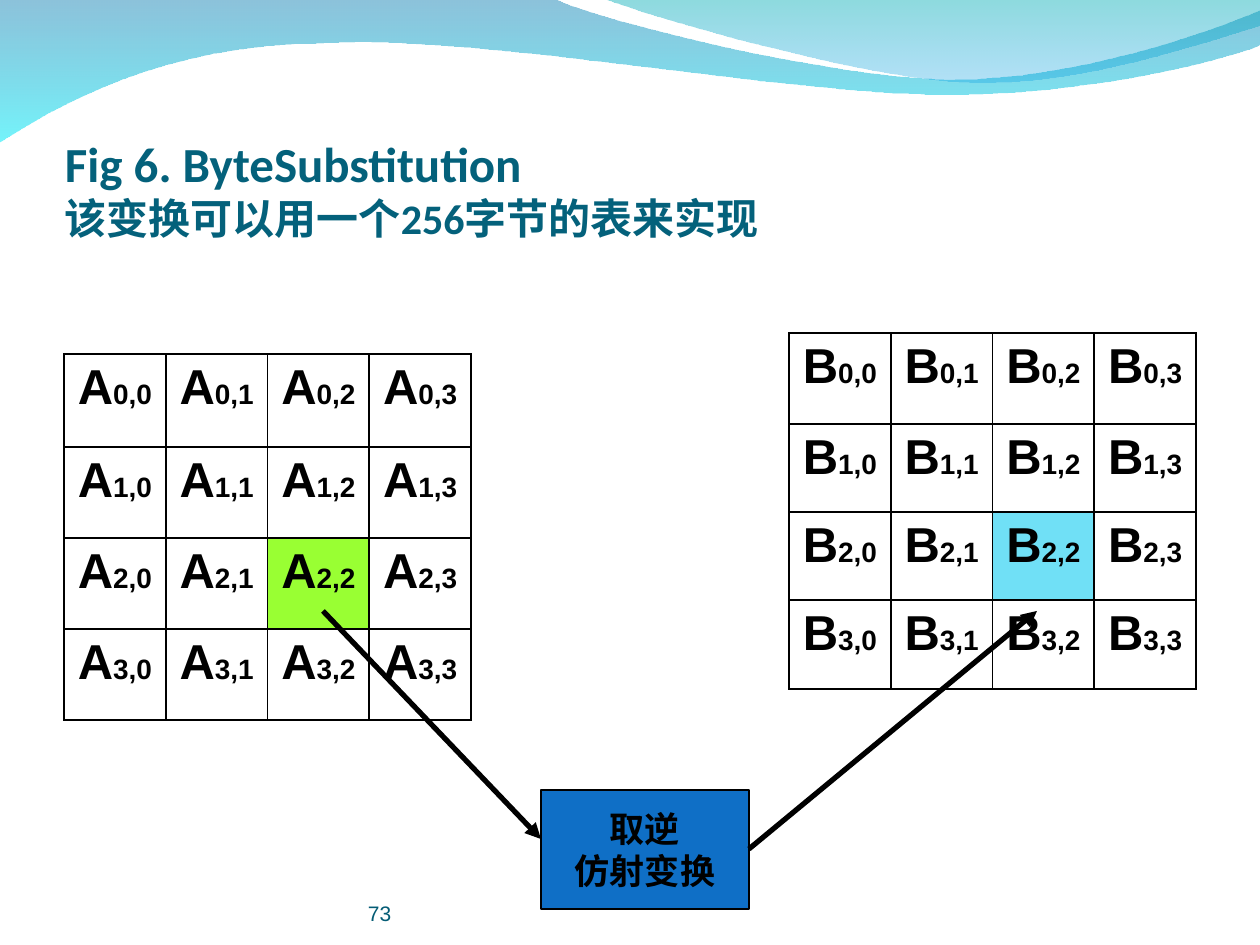
"""Build the ByteSubstitution slide: two state matrices linked by a transform box."""
import pptx
import pptx.dml.color
import pptx.enum.shapes
import pptx.enum.text
import pptx.oxml
import pptx.oxml.ns
import pptx.util

RGB = pptx.dml.color.RGBColor
ALIGN = pptx.enum.text.PP_ALIGN
ANCHOR = pptx.enum.text.MSO_ANCHOR
NS = pptx.oxml.ns.nsdecls("a")
PX = 914400 / 126

BLACK = RGB(0, 0, 0)
TITLE_TEAL = RGB(0x04, 0x61, 0x7B)
NUMBER_TEAL = RGB(0x04, 0x5C, 0x75)
BOX_BLUE = RGB(0x0F, 0x6F, 0xC6)
GREEN = RGB(0x99, 0xFF, 0x33)
CYAN = RGB(0x70, 0xE0, 0xF6)

TITLE = [("Fig 6. ByteSubstitution", 28), ("该变换可以用一个256字节的表来实现", 24)]
TRANSFORM = ["取逆", "仿射变换"]
PAGE_NUMBER = "73"
GRID = 4
MATRIX_WIDTH = 407
MARKED_CELL = (2, 2)
MATRIX_B = {"letter": "B", "at": (789, 333), "rows": (91, 88, 88, 89), "mark": CYAN}
MATRIX_A = {"letter": "A", "at": (64, 354), "rows": (93, 91, 91, 91), "mark": GREEN}
ARROW_IN = ((323, 611), (541, 839))
ARROW_OUT = ((749, 849), (1037, 611))
WAVES = [
    {"start": (0, -1),
     "parts": [[(554, -1)],
               [(600, 21), (837, 79), (955, 79)],
               [(1075, 79), (1207, 33), (1260, 11)],
               [(1261, 45)],
               [(1239, 55), (1096, 96), (940, 94)],
               [(784, 94), (481, 35), (324, 43)],
               [(163, 44), (58, 105), (-1, 142)]],
     "stops": [(RGB(0x00, 0x79, 0xAF), 45), (RGB(0x00, 0xEB, 0xF8), 55)]},
    {"start": (604, -1),
     "parts": [[(641, 14), (859, 78), (969, 82)],
               [(1079, 87), (1211, 40), (1260, 26)],
               [(1260, 0)]],
     "stops": [(RGB(0x00, 0xAD, 0xB6), 45), (RGB(0x00, 0x9B, 0xE5), 30)]},
]


def px(*values):
    return [round(v * PX) for v in values]


def add_run(p, text, size, color, font="Arial", bold=True):
    r = p.add_run()
    r.text = text
    r.font.size = pptx.util.Pt(size)
    r.font.name = font
    r.font.bold = bold
    r.font.color.rgb = color


def set_frame(tf, anchor, margins):
    tf.auto_size = pptx.enum.text.MSO_AUTO_SIZE.NONE
    tf.vertical_anchor = anchor
    tf.margin_left, tf.margin_top, tf.margin_right, tf.margin_bottom = px(*margins)


def bend_segments(sp, parts):
    segments = iter(list(sp.element.iter(pptx.oxml.ns.qn("a:lnTo"))))
    for part in parts:
        group = [next(segments) for point in part]
        if len(group) == 3:
            curve = pptx.oxml.parse_xml(f"<a:cubicBezTo {NS}/>")
            group[0].addprevious(curve)
            for segment in group:
                curve.append(segment[0])
                segment.getparent().remove(segment)


def add_wave(s, wave):
    builder = s.shapes.build_freeform(*px(*wave["start"]), scale=1.0)
    builder.add_line_segments([px(*point) for part in wave["parts"] for point in part])
    sp = builder.convert_to_shape()
    bend_segments(sp, wave["parts"])
    sp.shadow.inherit = False
    sp.line.fill.background()
    sp.fill.gradient()
    sp.fill.gradient_angle = 270
    for stop, (color, opacity) in zip(sp.fill.gradient_stops, wave["stops"]):
        stop.color.rgb = color
    nodes = sp.element.spPr.iter(pptx.oxml.ns.qn("a:srgbClr"))
    for node, (color, opacity) in zip(nodes, wave["stops"]):
        node.append(pptx.oxml.parse_xml(f'<a:alpha {NS} val="{opacity * 1000}"/>'))


def add_matrix(s, matrix):
    heights = matrix["rows"]
    frame = s.shapes.add_table(GRID, GRID, *px(*matrix["at"], MATRIX_WIDTH, sum(heights)))
    table = frame.table
    table.first_row = table.horz_banding = False
    for i, height in enumerate(heights):
        table.rows[i].height = round(height * PX)
        for j in range(GRID):
            cell = table.cell(i, j)
            p = cell.text_frame.paragraphs[0]
            p.alignment = ALIGN.CENTER
            add_run(p, matrix["letter"], 28, BLACK)
            add_run(p, f"{i},{j}", 16, BLACK)
            for side in "LRTB":
                cell._tc.get_or_add_tcPr().append(pptx.oxml.parse_xml(
                    f'<a:ln{side} {NS} w="13716"><a:solidFill>'
                    f'<a:srgbClr val="{BLACK}"/></a:solidFill></a:ln{side}>'))
            if (i, j) == MARKED_CELL:
                cell.fill.solid()
                cell.fill.fore_color.rgb = matrix["mark"]
            else:
                cell.fill.background()


def add_arrow(s, start, end):
    arrow = s.shapes.add_connector(pptx.enum.shapes.MSO_CONNECTOR.STRAIGHT, *px(*start, *end))
    arrow.line.color.rgb = BLACK
    arrow.line.width = pptx.util.Pt(3)
    arrow.line._get_or_add_ln().append(pptx.oxml.parse_xml(f'<a:tailEnd {NS} type="triangle"/>'))
    arrow.element.spPr.append(pptx.oxml.parse_xml(f"<a:effectLst {NS}/>"))


def add_title(s):
    title = s.shapes.title
    title.left, title.top, title.width, title.height = px(65, 86, 1134, 157)
    set_frame(title.text_frame, ANCHOR.BOTTOM, (0, 6, 0, 0))
    p = title.text_frame.paragraphs[0]
    p.alignment = ALIGN.LEFT
    for i, (text, size) in enumerate(TITLE):
        if i:
            p.add_line_break()
        add_run(p, text, size, TITLE_TEAL, "Calibri")


def add_page_number(s):
    tf = s.shapes.add_textbox(*px(368, 876, 462, 50)).text_frame
    tf.word_wrap = True
    set_frame(tf, ANCHOR.BOTTOM, (0, 0, 0, 0))
    add_run(tf.paragraphs[0], PAGE_NUMBER, 12, NUMBER_TEAL, bold=False)


def add_transform_box(s):
    sp = s.shapes.add_shape(pptx.enum.shapes.MSO_SHAPE.RECTANGLE, *px(541, 790, 208, 119))
    sp.shadow.inherit = False
    sp.fill.solid()
    sp.fill.fore_color.rgb = BOX_BLUE
    sp.line.color.rgb = BLACK
    sp.line.width = pptx.util.Pt(0.75)
    tf = sp.text_frame
    tf.word_wrap = False
    set_frame(tf, ANCHOR.MIDDLE, (13, 6, 13, 6))
    for i, text in enumerate(TRANSFORM):
        p = tf.add_paragraph() if i else tf.paragraphs[0]
        p.alignment = ALIGN.CENTER
        add_run(p, text, 20, BLACK)


def main():
    prs = pptx.Presentation()
    prs.slide_width, prs.slide_height = pptx.util.Inches(10), pptx.util.Inches(7.5)
    s = prs.slides.add_slide(prs.slide_layouts[5])
    for wave in WAVES:
        add_wave(s, wave)
    add_title(s)
    add_matrix(s, MATRIX_B)
    add_page_number(s)
    add_matrix(s, MATRIX_A)
    add_arrow(s, *ARROW_IN)
    add_transform_box(s)
    add_arrow(s, *ARROW_OUT)
    prs.save("out.pptx")


if __name__ == "__main__":
    main()
